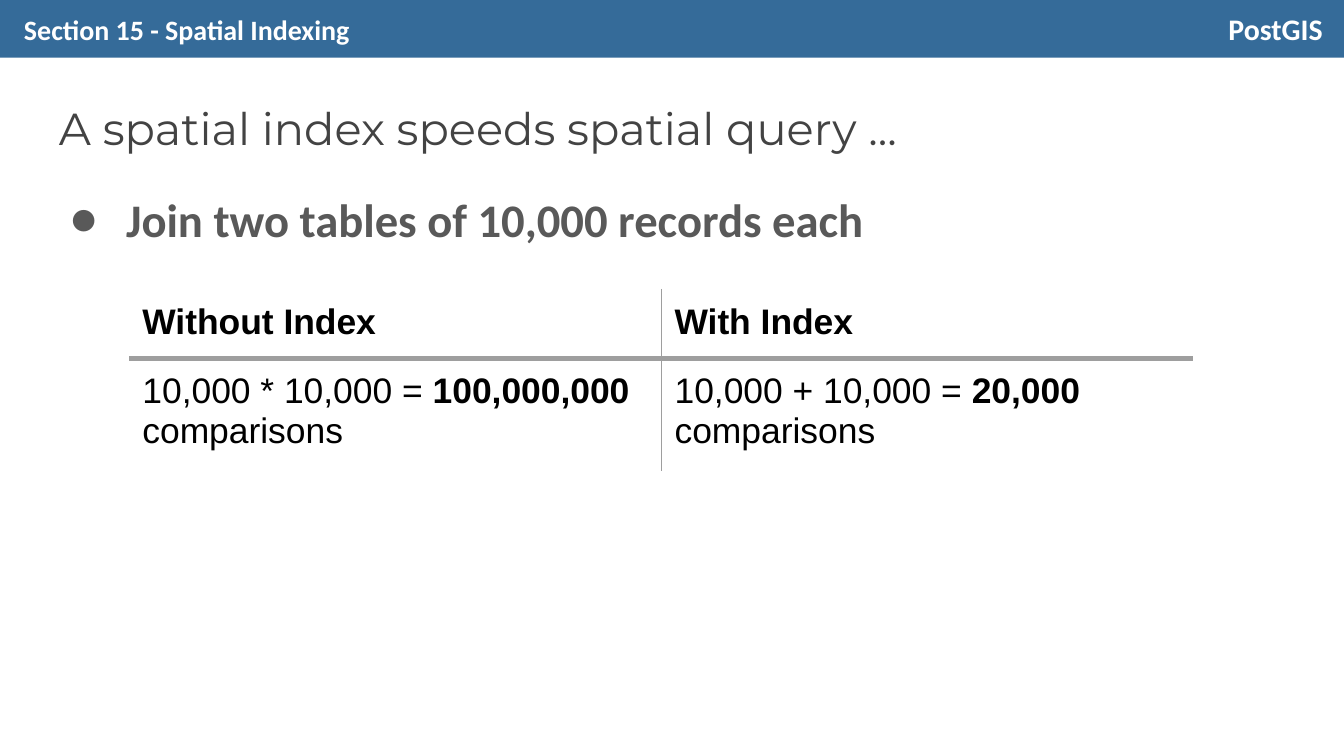
from lxml.etree import SubElement
from pptx import Presentation
from pptx.dml.color import RGBColor
from pptx.enum.shapes import MSO_SHAPE
from pptx.enum.text import PP_ALIGN
from pptx.oxml.ns import qn
from pptx.util import Inches, Pt

BLUE, WHITE, BLACK = "356B99", "FFFFFF", "000000"
TITLE_GRAY, BODY_GRAY, RULE_GRAY = "434343", "595959", "9E9E9E"
NO_STYLE = "{2D5ABB26-0587-4C30-8999-92F81FD0307C}"
ROWS = [
    [[("Without Index", True)], [("With Index", True)]],
    [
        [("10,000 * 10,000 = ", False), ("100,000,000", True), (" comparisons", False)],
        [("10,000 + 10,000 = ", False), ("20,000", True), (" comparisons", False)],
    ],
]


def rgb(value):
    return RGBColor.from_string(value)


def style_font(font, name, size, color, bold=False):
    font.name = name
    font.size = Pt(size)
    font.bold = bold
    font.color.rgb = rgb(color)


def set_margins(box):
    box.margin_left = box.margin_right = Inches(0.1)
    box.margin_top = box.margin_bottom = Inches(0.1)


def add_bar(s, x, y, w, h, color):
    sp = s.shapes.add_shape(MSO_SHAPE.RECTANGLE, Inches(x), Inches(y), Inches(w), Inches(h))
    sp.shadow.inherit = False
    sp.fill.solid()
    sp.fill.fore_color.rgb = rgb(color)
    sp.line.fill.background()


def add_text(s, text, x, y, w, h, name, size, color, bold=False, align=PP_ALIGN.LEFT):
    tf = s.shapes.add_textbox(Inches(x), Inches(y), Inches(w), Inches(h)).text_frame
    tf.word_wrap = True
    set_margins(tf)
    p = tf.paragraphs[0]
    p.text = text
    p.alignment = align
    style_font(p.runs[0].font, name, size, color, bold)
    return p


def add_bullet(p, color, left, hanging):
    pPr = p._p.get_or_add_pPr()
    pPr.set("marL", str(Inches(left)))
    pPr.set("indent", str(-Inches(hanging)))
    SubElement(SubElement(pPr, qn("a:buClr")), qn("a:srgbClr"), val=color)
    SubElement(pPr, qn("a:buFont"), typeface="Calibri")
    SubElement(pPr, qn("a:buChar"), char="●")
    p.line_spacing = 1.15


def add_border(cell, side, width):
    ln = SubElement(cell._tc.get_or_add_tcPr(), qn(f"a:ln{side}"), w=str(Pt(width)))
    SubElement(SubElement(ln, qn("a:solidFill")), qn("a:srgbClr"), val=RULE_GRAY)


def fill_cell(cell, parts):
    set_margins(cell)
    p = cell.text_frame.paragraphs[0]
    for text, bold in parts:
        r = p.add_run()
        r.text = text
        style_font(r.font, "Arial", 19, BLACK, bold)


def add_comparison(s, x, y, col_width, row_heights):
    frame = s.shapes.add_table(2, 2, Inches(x), Inches(y),
                               Inches(2 * col_width), Inches(sum(row_heights)))
    table = frame.table
    table.first_row = table.horz_banding = False
    table._tbl.tblPr.find(qn("a:tableStyleId")).text = NO_STYLE
    for col in table.columns:
        col.width = Inches(col_width)
    for i, row in enumerate(ROWS):
        table.rows[i].height = Inches(row_heights[i])
        for j, parts in enumerate(row):
            cell = table.cell(i, j)
            fill_cell(cell, parts)
            add_border(cell, "L" if j else "R", 0.75)
            add_border(cell, "T" if i else "B", 3)
            cell.fill.background()


def main():
    prs = Presentation()
    prs.slide_width, prs.slide_height = Inches(10), Inches(10 * 9 / 16)
    s = prs.slides.add_slide(prs.slide_layouts[6])
    add_bar(s, 0, 0, 10, 0.43, BLUE)
    add_text(s, "PostGIS", 8.86, -0.02, 1.08, 0.47, "Calibri", 16, WHITE, True, PP_ALIGN.RIGHT)
    add_text(s, "A spatial index speeds spatial query ...", 0.34, 0.65, 9.32, 0.63,
             "Montserrat", 24, TITLE_GRAY)
    p = add_text(s, "Join two tables of 10,000 records each", 0.34, 1.26, 9.32, 0.87,
                 "Calibri", 25, BODY_GRAY, True)
    add_bullet(p, BODY_GRAY, 0.5, 0.42)
    add_text(s, "Section 15 - Spatial Indexing", 0.08, -0.01, 6.88, 0.45,
             "Calibri", 15, WHITE, True)
    add_comparison(s, 0.96, 2.15, 3.96, [0.51, 0.84])
    prs.save("out.pptx")


if __name__ == "__main__":
    main()
